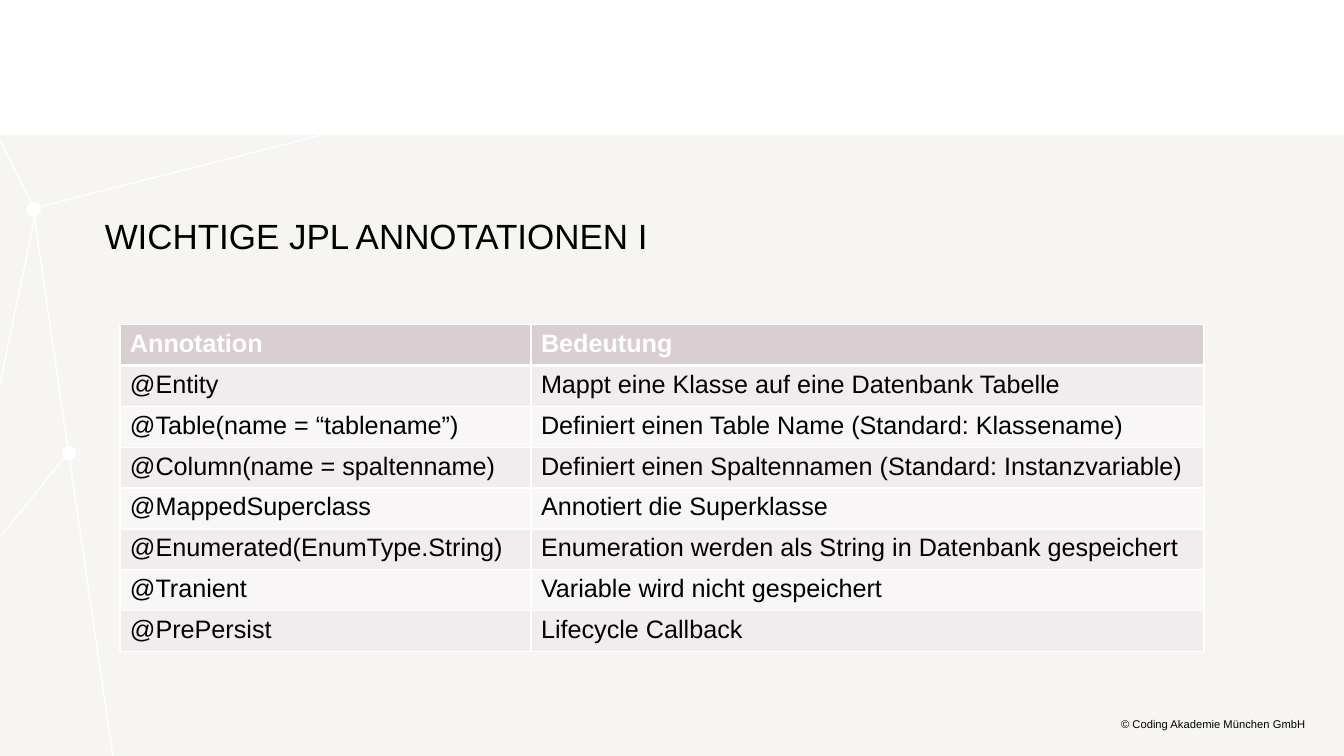
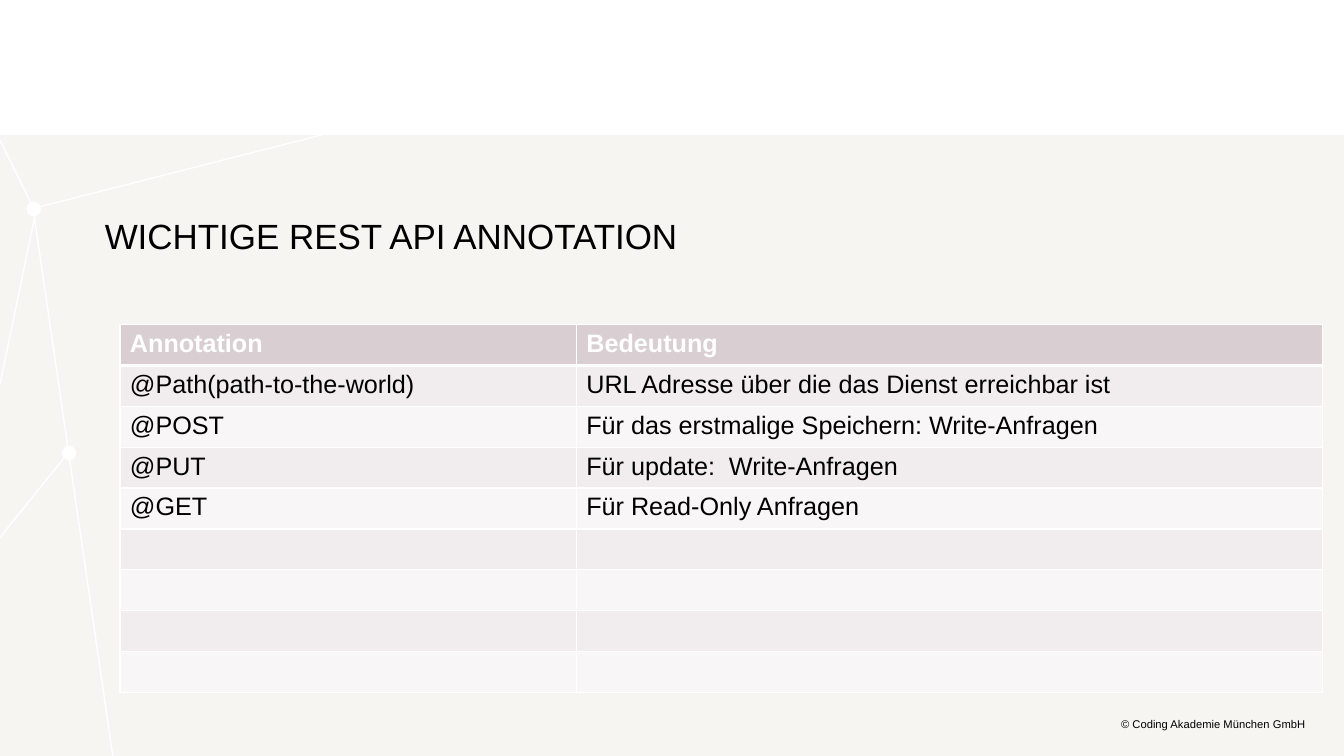
from lxml import etree
from pptx import Presentation
from pptx.dml.color import RGBColor
from pptx.enum.shapes import MSO_CONNECTOR, MSO_SHAPE
from pptx.enum.text import MSO_ANCHOR, PP_ALIGN
from pptx.oxml.ns import qn
from pptx.util import Inches, Pt

RECTANGLE, OVAL = MSO_SHAPE.RECTANGLE, MSO_SHAPE.OVAL
STRAIGHT = MSO_CONNECTOR.STRAIGHT
TOP, MIDDLE = MSO_ANCHOR.TOP, MSO_ANCHOR.MIDDLE
LEFT, RIGHT = PP_ALIGN.LEFT, PP_ALIGN.RIGHT

# Content
HEADER = ("Annotation", "Bedeutung")
SLIDES = [
    {
        "title": "WICHTIGE JPL ANNOTATIONEN I",
        "widths": (4.08, 6.68),
        "rows": [
            ("@Entity", "Mappt eine Klasse auf eine Datenbank Tabelle"),
            ("@Table(name = “tablename”)", "Definiert einen Table Name (Standard: Klassename)"),
            ("@Column(name = spaltenname)", "Definiert einen Spaltennamen (Standard: Instanzvariable)"),
            ("@MappedSuperclass", "Annotiert die Superklasse"),
            ("@Enumerated(EnumType.String)", "Enumeration werden als String in Datenbank gespeichert"),
            ("@Tranient", "Variable wird nicht gespeichert"),
            ("@PrePersist", "Lifecycle Callback"),
        ],
    },
    {
        "title": "WICHTIGE REST API ANNOTATION",
        "widths": (4.53, 7.41),
        "rows": [
            ("@Path(path-to-the-world)", "URL Adresse über die das Dienst erreichbar ist"),
            ("@POST", "Für das erstmalige Speichern: Write-Anfragen"),
            ("@PUT", "Für update:  Write-Anfragen"),
            ("@GET", "Für Read-Only Anfragen"),
        ] + [("", "")] * 4,
    },
]
FOOTER = "© Coding Akademie München GmbH"

# Shared style
COLORS = {
    "white": "FFFFFF", "text": "000000", "panel": "F7F5F1",
    "header": "D9CED1", "odd": "F1EDEE", "even": "F8F6F7",
}
TITLE_STYLE = {"name": "Arial", "size": Pt(25)}
FOOTER_STYLE = {"name": "Arial", "size": Pt(8)}
HEADER_STYLE = {"name": "Arial", "size": Pt(18), "bold": True}
BODY_STYLE = {"name": "Arial", "size": Pt(18), "bold": False}

# Layout in inches
SLIDE_W, SLIDE_H = 13.34, 7.5
PANEL_TOP = 1.34
TABLE_LEFT, TABLE_TOP = 1.19, 3.22
ROW_HEIGHT = Inches(3.65) // 9
NODE_SIZE = 0.13
NODES = [(0.27, 2.01), (0.62, 4.43)]
EDGES = [
    ((0.33, 2.08), (1.12, SLIDE_H)),
    ((0.34, 2.08), (0, 1.39)),
    ((0.36, 2.06), (3.19, PANEL_TOP)),
    ((0.72, 4.44), (0, 5.33)),
    ((0.36, 2.08), (0, 3.81)),
]


def rgb(name):
    return RGBColor.from_string(COLORS[name])


def inches(*values):
    return [Inches(value) for value in values]


def style_font(font, style, color):
    for key, value in style.items():
        setattr(font, key, value)
    font.color.rgb = rgb(color)


def add_filled(slide, preset, box, color):
    shape = slide.shapes.add_shape(preset, *inches(*box))
    shape.shadow.inherit = False
    shape.fill.solid()
    shape.fill.fore_color.rgb = rgb(color)
    shape.line.fill.background()
    return shape


def add_backdrop(slide):
    add_filled(slide, RECTANGLE, (0, PANEL_TOP, SLIDE_W, SLIDE_H - PANEL_TOP), "panel")
    for x, y in NODES:
        node = add_filled(slide, OVAL, (x, y, NODE_SIZE, NODE_SIZE), "white")
        node.line.color.rgb = rgb("white")
        node.line.width = Pt(1)
    for start, end in EDGES:
        edge = slide.shapes.add_connector(STRAIGHT, *inches(*start, *end))
        edge.line.color.rgb = rgb("white")
        edge.line.width = Pt(1)
        etree.SubElement(edge.element.spPr, qn("a:effectLst"))


def add_text(slide, box, text, style, align=LEFT, anchor=TOP, spacing=None):
    frame = slide.shapes.add_textbox(*inches(*box)).text_frame
    frame.word_wrap = True
    frame.vertical_anchor = anchor
    for side in ("left", "top", "right", "bottom"):
        setattr(frame, f"margin_{side}", 0)
    paragraph = frame.paragraphs[0]
    paragraph.text = text
    paragraph.alignment = align
    paragraph.line_spacing = spacing
    style_font(paragraph.font, style, "text")


def add_borders(cell, widths):
    properties = cell._tc.get_or_add_tcPr()
    for side, width in widths.items():
        border = etree.SubElement(properties, qn(f"a:ln{side}"), w=str(Pt(width)))
        fill = etree.SubElement(border, qn("a:solidFill"))
        etree.SubElement(fill, qn("a:srgbClr"), val=COLORS["white"])


def add_annotation_table(slide, widths, body):
    rows = [HEADER, *body]
    table = slide.shapes.add_table(
        len(rows), len(widths), *inches(TABLE_LEFT, TABLE_TOP, sum(widths)),
        ROW_HEIGHT * len(rows)).table
    for column, width in zip(table.columns, widths):
        column.width = Inches(width)
    for r, texts in enumerate(rows):
        table.rows[r].height = ROW_HEIGHT
        is_header = r == 0
        fill = "header" if is_header else ("even", "odd")[r % 2]
        style = HEADER_STYLE if is_header else BODY_STYLE
        borders = {"L": 1, "R": 1, "T": 3 if r == 1 else 1, "B": 3 if is_header else 1}
        for c, text in enumerate(texts):
            cell = table.cell(r, c)
            cell.text = text
            style_font(cell.text_frame.paragraphs[0].font, style,
                       "white" if is_header else "text")
            add_borders(cell, borders)
            cell.fill.solid()
            cell.fill.fore_color.rgb = rgb(fill)


def main():
    deck = Presentation()
    deck.slide_width, deck.slide_height = inches(SLIDE_W, SLIDE_H)
    for content in SLIDES:
        slide = deck.slides.add_slide(deck.slide_layouts[6])
        add_backdrop(slide)
        add_text(slide, (1.04, 2.13, 11.22, 0.42), content["title"], TITLE_STYLE)
        add_text(slide, (9.03, 7.13, 3.93, 0.13), FOOTER, FOOTER_STYLE,
                 RIGHT, MIDDLE, 0.93)
        add_annotation_table(slide, content["widths"], content["rows"])
    deck.save("out.pptx")


if __name__ == "__main__":
    main()
